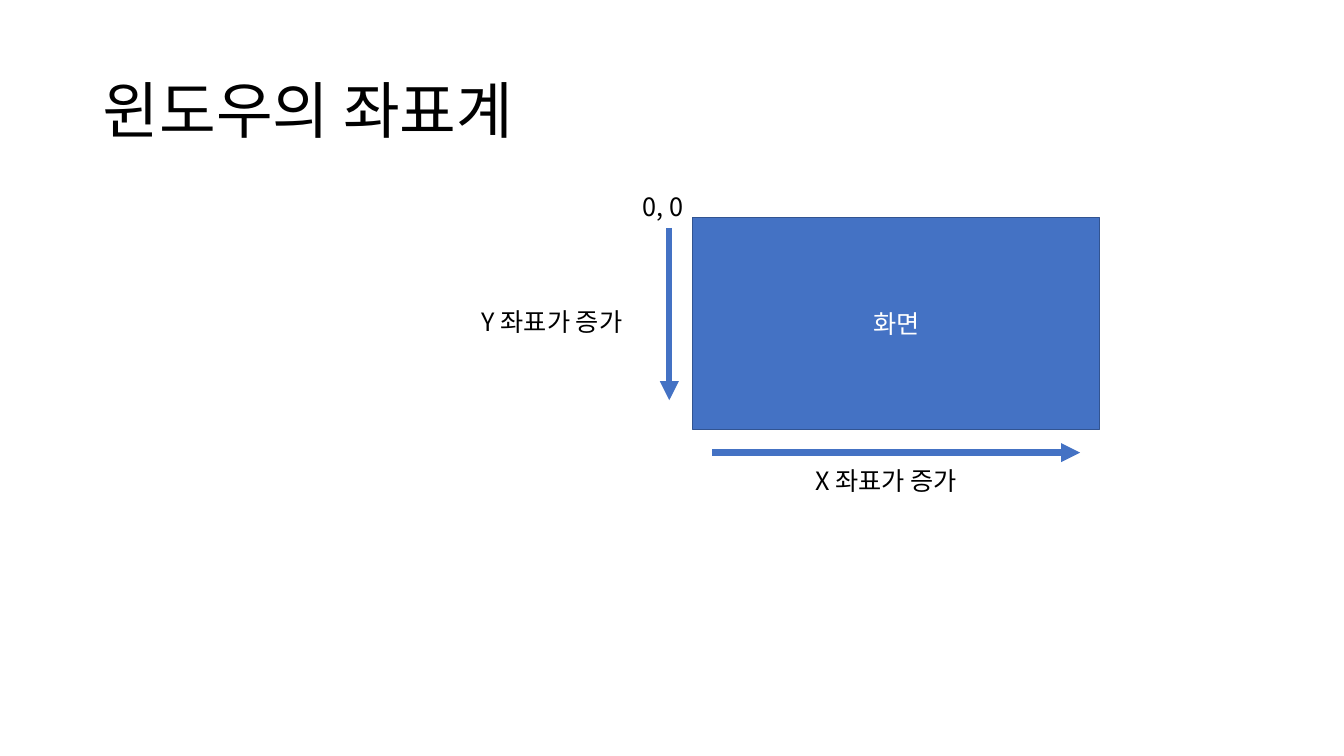
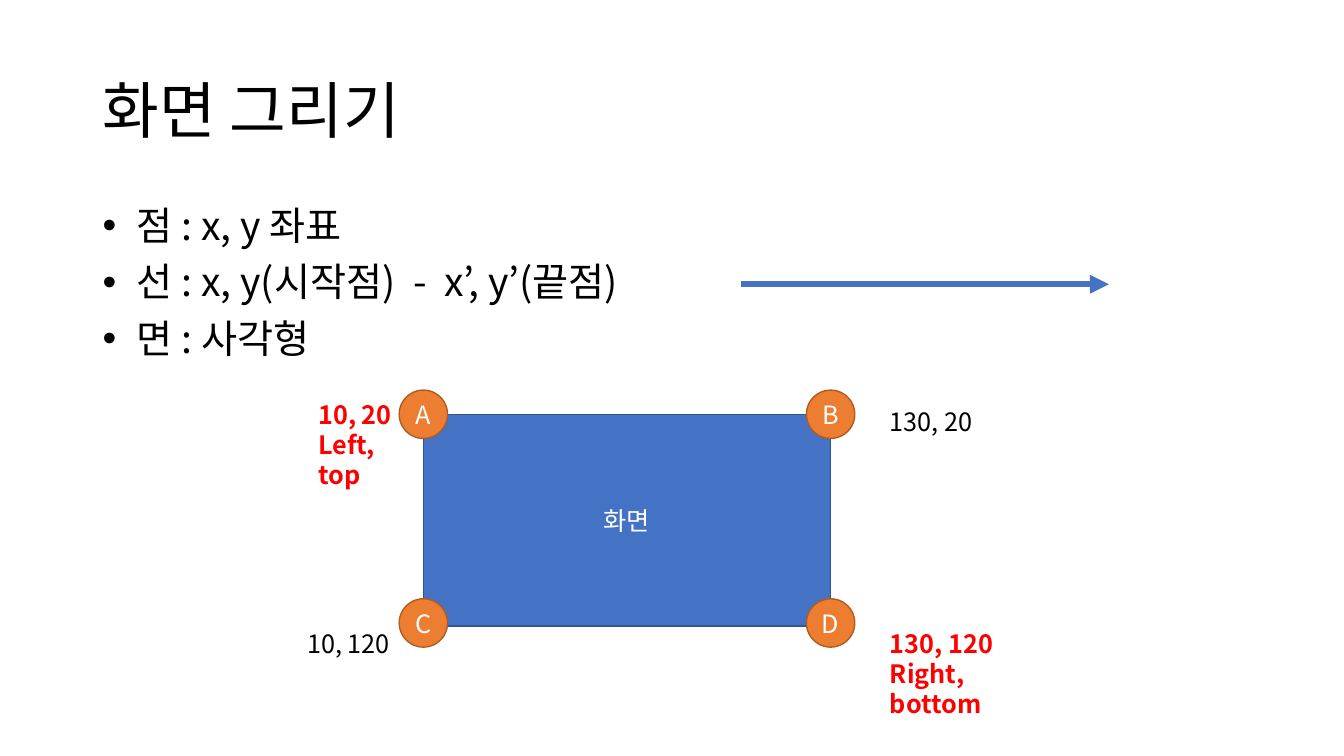
from dataclasses import dataclass

from lxml import etree
from pptx import Presentation
from pptx import util as u
from pptx.dml.color import RGBColor
from pptx.enum import shapes, text
from pptx.oxml import ns


@dataclass(frozen=True)
class Theme:
    font: str = "Noto Sans CJK KR"
    ink: str = "000000"
    paper: str = "FFFFFF"
    blue: str = "4472C4"
    blue_edge: str = "325491"
    orange: str = "ED7D31"
    orange_edge: str = "AF5C24"
    accent: str = "FF0000"
    title_size: int = 44
    body_size: int = 28
    label_size: int = 18
    arrow_width: float = 4.5
    edge_width: float = 1


THEME = Theme()
WIDTH, HEIGHT = u.Inches(13.33), u.Inches(7.5)
MARGIN, CONTENT_WIDTH = 6.9, 86.25
SCREEN_WIDTH, SCREEN_HEIGHT = 30.3, 28
ARROW_WIDTH = 27.38
DOT_WIDTH, DOT_HEIGHT = 3.6, 6.4
LINE_HEIGHT = 5.33


def across(share):
    return u.Emu(round(WIDTH * share / 100))


def down(share):
    return u.Emu(round(HEIGHT * share / 100))


def place(left, top, width, height):
    return across(left), down(top), across(width), down(height)


def add_run(paragraph, wording, size, color, bold=False):
    run = paragraph.add_run()
    run.text = wording
    run.font.size = u.Pt(size)
    run.font.bold = bold
    run.font.color.rgb = RGBColor.from_string(color)
    run.font.name = THEME.font
    east_asian = etree.SubElement(run.font._element, ns.qn("a:ea"))
    east_asian.set("typeface", THEME.font)


def add_text(slide, area, lines, size, color=THEME.ink, bold=False, wrap=True):
    frame = slide.shapes.add_textbox(*place(*area)).text_frame
    frame.word_wrap = wrap
    if not wrap:
        frame.auto_size = text.MSO_AUTO_SIZE.SHAPE_TO_FIT_TEXT
    for index, line in enumerate(lines):
        paragraph = frame.add_paragraph() if index else frame.paragraphs[0]
        add_run(paragraph, line, size, color, bold)
    return frame


def add_title(slide, wording):
    area = (MARGIN, 5.33, CONTENT_WIDTH, 19.33)
    frame = add_text(slide, area, [wording], THEME.title_size)
    frame.vertical_anchor = text.MSO_ANCHOR.MIDDLE
    frame.paragraphs[0].line_spacing = 0.9


def add_bullets(slide, lines):
    area = (MARGIN, 26.67, CONTENT_WIDTH, 63.47)
    frame = add_text(slide, area, lines, THEME.body_size)
    for paragraph in frame.paragraphs:
        paragraph.line_spacing = 0.9
        paragraph.space_before = u.Pt(10)
        properties = paragraph._p.get_or_add_pPr()
        properties.set("marL", str(u.Inches(0.25)))
        properties.set("indent", str(-u.Inches(0.25)))
        font = etree.SubElement(properties, ns.qn("a:buFont"))
        font.set("typeface", "Arial")
        bullet = etree.SubElement(properties, ns.qn("a:buChar"))
        bullet.set("char", "•")


def add_label(slide, left, top, width, wording):
    area = (left, top, width, LINE_HEIGHT)
    add_text(slide, area, [wording], THEME.label_size, wrap=False)


def add_key_label(slide, left, top, width, lines):
    area = (left, top, width, 9.47)
    add_text(slide, area, lines, THEME.label_size, THEME.accent, bold=True)


def add_figure(slide, kind, area, wording, fill, edge):
    figure = slide.shapes.add_shape(kind, *place(*area))
    figure.shadow.inherit = False
    figure.fill.solid()
    figure.fill.fore_color.rgb = RGBColor.from_string(fill)
    figure.line.color.rgb = RGBColor.from_string(edge)
    figure.line.width = u.Pt(THEME.edge_width)
    frame = figure.text_frame
    frame.word_wrap = False
    frame.vertical_anchor = text.MSO_ANCHOR.MIDDLE
    frame.paragraphs[0].alignment = text.PP_ALIGN.CENTER
    add_run(frame.paragraphs[0], wording, THEME.label_size, THEME.paper)


def add_screen(slide, left, top):
    area = (left, top, SCREEN_WIDTH, SCREEN_HEIGHT)
    add_figure(slide, shapes.MSO_SHAPE.RECTANGLE, area, "화면",
               THEME.blue, THEME.blue_edge)


def add_corner(slide, center_x, center_y, letter):
    area = (center_x - DOT_WIDTH / 2, center_y - DOT_HEIGHT / 2,
            DOT_WIDTH, DOT_HEIGHT)
    add_figure(slide, shapes.MSO_SHAPE.OVAL, area, letter,
               THEME.orange, THEME.orange_edge)


def add_arrow(slide, left, top, width=0, height=0):
    arrow = slide.shapes.add_connector(
        shapes.MSO_CONNECTOR.STRAIGHT, across(left), down(top),
        across(left + width), down(top + height))
    arrow.line.color.rgb = RGBColor.from_string(THEME.blue)
    arrow.line.width = u.Pt(THEME.arrow_width)
    head = etree.SubElement(arrow.line._get_or_add_ln(), ns.qn("a:tailEnd"))
    head.set("type", "triangle")
    etree.SubElement(arrow._element.spPr, ns.qn("a:effectLst"))


def add_coordinate_slide(slide):
    left, top = 51.53, 28.8
    add_title(slide, "윈도우의 좌표계")
    add_screen(slide, left, top)
    add_label(slide, 47.1, 24.67, 4.65, "0, 0")
    add_arrow(slide, left + (SCREEN_WIDTH - ARROW_WIDTH) / 2, 59.87,
              width=ARROW_WIDTH)
    add_label(slide, 59.93, 60.93, 13.5, "X 좌표가 증가")
    add_arrow(slide, 49.8, 30.13, height=22.8)
    add_label(slide, 35.1, 39.87, 13.35, "Y 좌표가 증가")


def add_drawing_slide(slide):
    left, top, lower = 31.5, 54.8, 82.4
    right = left + SCREEN_WIDTH
    label_left = 65.48
    add_title(slide, "화면 그리기")
    add_bullets(slide, [" 점 : x, y 좌표",
                        " 선 : x, y(시작점)  -  x’, y’(끝점)",
                        " 면 : 사각형"])
    add_screen(slide, left, top)
    add_arrow(slide, 55.13, 37.6, width=ARROW_WIDTH)
    for x, y, letter in ((left, top, "A"), (right, top, "B"),
                         (right, lower, "D"), (left, lower, "C")):
        add_corner(slide, x, y, letter)
    add_key_label(slide, 22.95, 52.13, 8.6, ["10, 20", "Left, top"])
    add_key_label(slide, label_left, lower, 13.5,
                  ["130, 120", "Right, bottom"])
    add_label(slide, label_left, 53.07, 7.8, "130, 20")
    add_label(slide, 22.13, lower, 7.8, "10, 120")


def main():
    deck = Presentation()
    deck.slide_width, deck.slide_height = WIDTH, HEIGHT
    blank = deck.slide_layouts[6]
    for build in (add_coordinate_slide, add_drawing_slide):
        build(deck.slides.add_slide(blank))
    deck.save("out.pptx")


if __name__ == "__main__":
    main()
